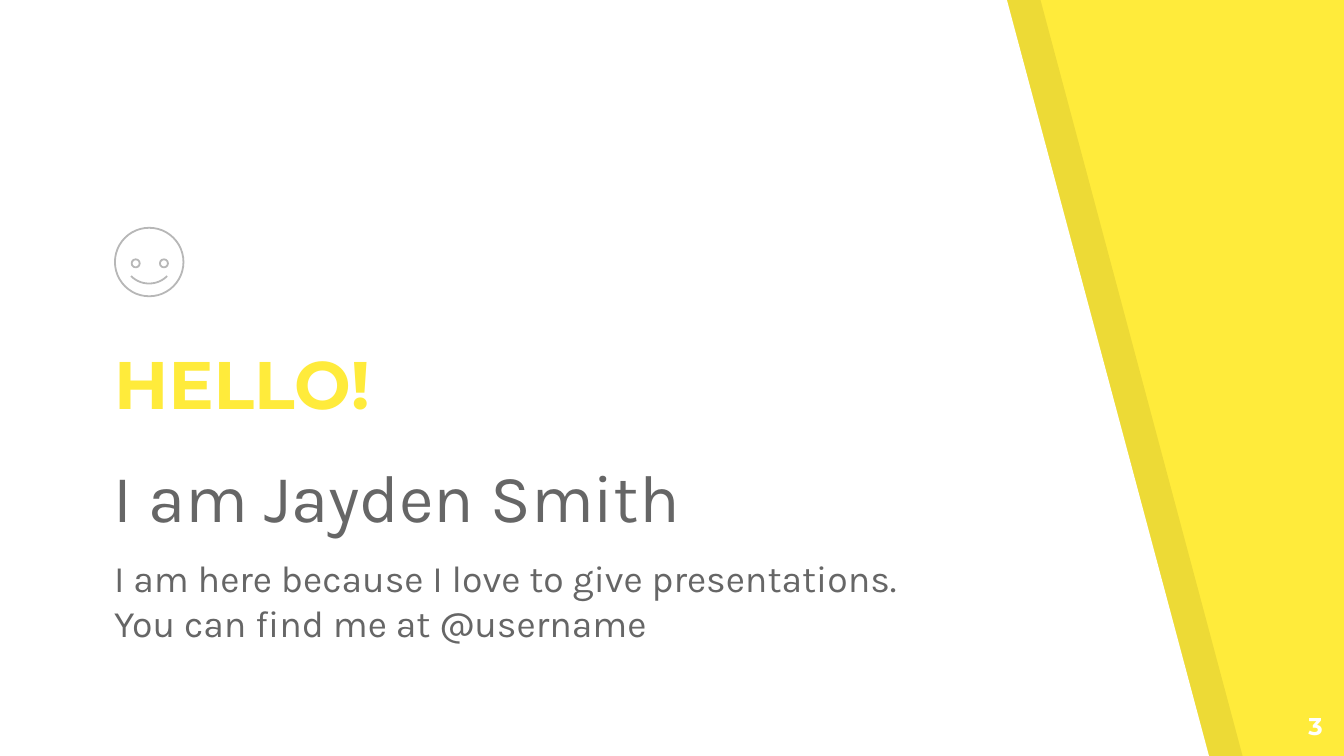
from dataclasses import dataclass
from math import cos, pi, sin

from lxml import etree
from pptx import Presentation
from pptx.dml.color import RGBColor
from pptx.enum.shapes import MSO_SHAPE
from pptx.enum.text import MSO_ANCHOR, MSO_AUTO_SIZE, PP_ALIGN
from pptx.oxml.ns import qn
from pptx.shapes.autoshape import Shape
from pptx.slide import Slide
from pptx.util import Inches, Pt

OVAL = MSO_SHAPE.OVAL
TOP, BOTTOM = MSO_ANCHOR.TOP, MSO_ANCHOR.BOTTOM
LEFT, RIGHT = PP_ALIGN.LEFT, PP_ALIGN.RIGHT
NO_FIT = MSO_AUTO_SIZE.NONE

WIDTH = 10
HEIGHT = WIDTH * 9 / 16


@dataclass(frozen=True)
class Theme:
    yellow: RGBColor = RGBColor.from_string("FFEB3B")
    white: RGBColor = RGBColor.from_string("FFFFFF")
    black: RGBColor = RGBColor.from_string("000000")
    grey: RGBColor = RGBColor.from_string("666666")
    pale: RGBColor = RGBColor.from_string("B7B7B7")
    head: str = "Montserrat"
    body: str = "Karla"
    large: int = 36
    medium: int = 20
    small: int = 13
    stroke: float = 0.96
    shade: int = 7


THEME = Theme()


@dataclass(frozen=True)
class Label:
    text: str
    box: tuple[float, float, float, float]
    font: str
    size: int
    color: RGBColor
    bold: bool = False
    before: int = 0
    align: PP_ALIGN = LEFT
    anchor: MSO_ANCHOR = TOP


@dataclass(frozen=True)
class Ring:
    x: float
    y: float
    size: float


@dataclass(frozen=True)
class Panel:
    left: float
    color: RGBColor
    alpha: int = 100


PANELS = [Panel(0.25, THEME.black, THEME.shade), Panel(0, THEME.white)]
RINGS = [Ring(1.11, 1.95, 0.51), Ring(1.22, 1.96, 0.06), Ring(1.01, 1.96, 0.06)]
SMILE = Ring(1.11, 1.92, 0.38)
TITLE = Label("HELLO!", (0.75, 1.98, 4.96, 1.27), THEME.head, THEME.large,
              THEME.yellow, bold=True, anchor=BOTTOM)
LABELS = [
    Label("I am Jayden Smith", (0.75, 3.29, 4.96, 0.86), THEME.body, THEME.large,
          THEME.grey, before=6),
    Label("I am here because I love to give presentations. "
          "You can find me at @username", (0.75, 4.03, 6.15, 1.1), THEME.body,
          THEME.medium, THEME.grey, before=6),
    Label("3", (9.34, 5.19, 0.6, 0.43), THEME.head, THEME.small, THEME.white,
          bold=True, align=RIGHT),
]


def outline(slide: Slide, points: list[tuple[float, float]], close: bool) -> Shape:
    """Join points, given in inches, into a freeform."""
    first, *rest = [(Inches(x), Inches(y)) for x, y in points]
    pen = slide.shapes.build_freeform(*first)
    pen.add_line_segments(rest, close=close)
    shape = pen.convert_to_shape()
    shape.shadow.inherit = False
    return shape


def draw_panel(slide: Slide, panel: Panel) -> None:
    x = panel.left
    points = [(x, -0.01), (x, 5.64), (x + 9, 5.64), (x + 7.49, -0.01)]
    shape = outline(slide, points, True)
    shape.fill.solid()
    shape.fill.fore_color.rgb = panel.color
    shape.line.fill.background()
    if panel.alpha < 100:
        color = shape._element.spPr.find(qn("a:solidFill"))[0]
        etree.SubElement(color, qn("a:alpha")).set("val", str(panel.alpha * 1000))


def stroke(shape: Shape) -> None:
    shape.fill.background()
    shape.line.color.rgb = THEME.pale
    shape.line.width = Pt(THEME.stroke)


def draw_ring(slide: Slide, ring: Ring) -> None:
    side, half = Inches(ring.size), ring.size / 2
    shape = slide.shapes.add_shape(
        OVAL, Inches(ring.x - half), Inches(ring.y - half), side, side)
    shape.shadow.inherit = False
    stroke(shape)


def draw_smile(slide: Slide, ring: Ring, steps: int = 24) -> None:
    """Draw the lowest quarter of a circle."""
    half = ring.size / 2
    turns = [pi / 4 + pi / 2 * i / steps for i in range(steps + 1)]
    points = [(ring.x + half * cos(t), ring.y + half * sin(t)) for t in turns]
    stroke(outline(slide, points, False))


def set_label(shape: Shape, label: Label) -> None:
    shape.left, shape.top, shape.width, shape.height = map(Inches, label.box)
    frame = shape.text_frame
    frame.text = label.text
    frame.word_wrap = True
    frame.auto_size = NO_FIT
    frame.vertical_anchor = label.anchor
    frame.margin_left = frame.margin_right = Inches(0.1)
    frame.margin_top = frame.margin_bottom = Inches(0.1)
    para = frame.paragraphs[0]
    para.alignment = label.align
    para.space_before = Pt(label.before)
    font = para.runs[0].font
    font.name, font.size, font.bold = label.font, Pt(label.size), label.bold
    font.color.rgb = label.color


def main() -> None:
    deck = Presentation()
    deck.slide_width, deck.slide_height = Inches(WIDTH), Inches(HEIGHT)
    slide = deck.slides.add_slide(deck.slide_layouts[5])
    slide.background.fill.solid()
    slide.background.fill.fore_color.rgb = THEME.yellow

    for panel in PANELS:
        draw_panel(slide, panel)
    title = slide.shapes.title
    slide.shapes._spTree.append(title._element)  # bring above the panels
    set_label(title, TITLE)
    for label in LABELS:
        set_label(slide.shapes.add_textbox(*map(Inches, label.box)), label)
    for ring in RINGS:
        draw_ring(slide, ring)
    draw_smile(slide, SMILE)
    deck.save("out.pptx")


if __name__ == "__main__":
    main()
